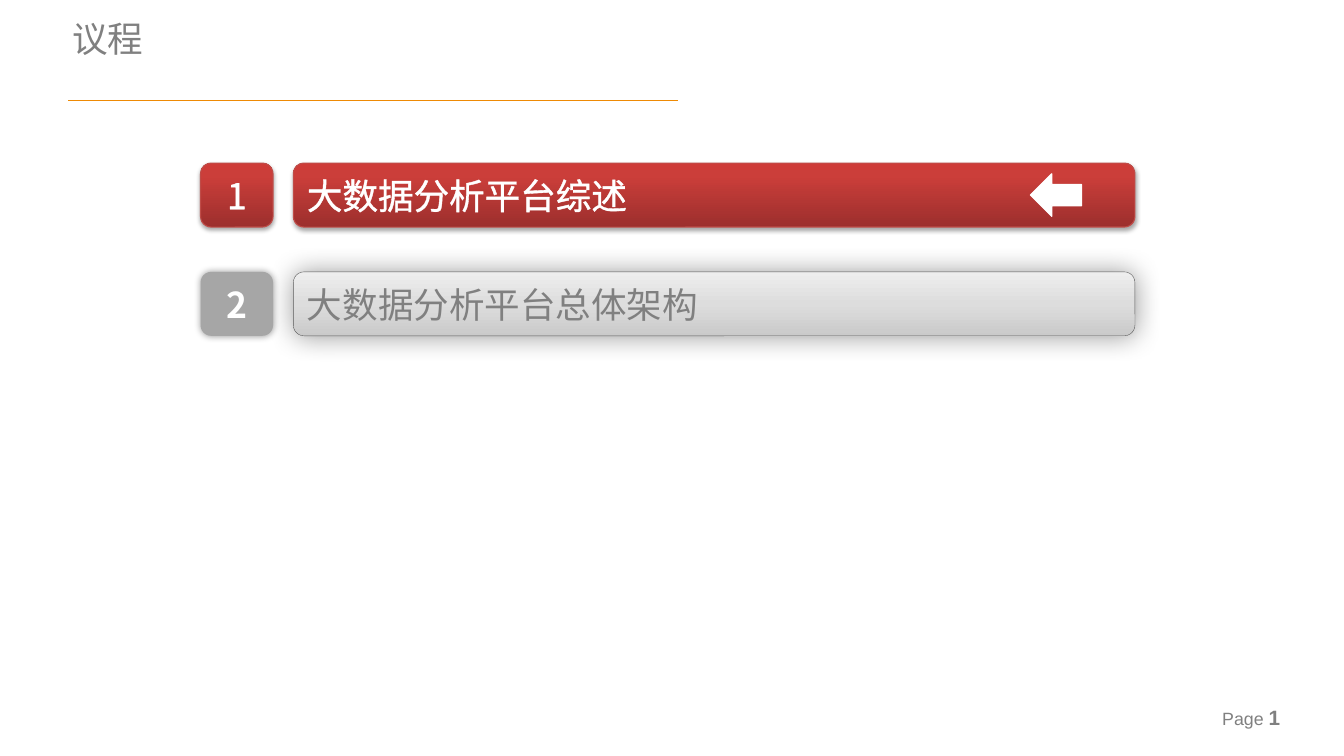
from lxml.etree import SubElement
from pptx import Presentation
from pptx.dml.color import RGBColor
from pptx.enum.shapes import MSO_CONNECTOR, MSO_SHAPE
from pptx.enum.text import MSO_ANCHOR, PP_ALIGN
from pptx.oxml.ns import qn
from pptx.util import Inches, Pt

# Content
TITLE = "议程"
PAGE = ("Page ", "1")
AGENDA = [
    {"number": "1", "topic": "大数据分析平台综述", "current": True},
    {"number": "2", "topic": "大数据分析平台总体架构", "current": False},
]

# Style
CJK, LATIN = "Noto Sans CJK SC", "Arial"
COLORS = {"gray": "808080", "white": "FFFFFF", "rule": "EE8A04",
          "red_line": "BF4C48", "gray_line": "595959", "badge": "A6A6A6"}
RED = [(0, "9C2F2D"), (80, "CB3E3A"), (100, "CE3B37")]
SILVER = [(0, "CACACA"), (50, "DDDDDD"), (100, "EEEEEE")]
# Shadows: opacity %, blur pt, distance pt, direction in degrees
DROP, GLOW, SOFT = (35, 3.1, 1.8, 90), (40, 18, 0, 0), (40, 5, 0, 0)

# Layout in inches
BADGE_X, BADGE_W = 1.88, 0.68
BAR_X, BAR_W = 2.75, 7.89
ROW_Y, ROW_H, ROW_STEP = 1.53, 0.6, 1.02
ARROW_X, ARROW_W, ARROW_H = 9.66, 0.48, 0.4


def rgb(name):
    return RGBColor.from_string(COLORS[name])


def add_color(parent, value):
    return SubElement(parent, qn("a:srgbClr"), val=value)


def add_run(p, text, size, color, font=CJK, bold=False, outline=None):
    r = p.add_run()
    r.text = text
    r.font.size, r.font.bold, r.font.name = Pt(size), bold, font
    r.font.color.rgb = rgb(color)
    rPr = r.font._element
    SubElement(rPr, qn("a:ea"), typeface=font)
    if outline:
        ln = SubElement(rPr, qn("a:ln"), w=str(Pt(outline)))
        add_color(SubElement(ln, qn("a:solidFill")), COLORS[color])
        rPr.insert(0, ln)


def add_textbox(s, x, y, w, h, anchor):
    tf = s.shapes.add_textbox(Inches(x), Inches(y), Inches(w), Inches(h)).text_frame
    tf.word_wrap = True
    tf.vertical_anchor = anchor
    return tf


def add_shadow(sp, opacity, blur, dist, angle):
    effects = sp._element.spPr.find(qn("a:effectLst"))
    outer = SubElement(effects, qn("a:outerShdw"), blurRad=str(Pt(blur)),
                       dist=str(Pt(dist)), dir=str(angle * 60000),
                       algn="ctr", rotWithShape="0")
    SubElement(add_color(outer, "000000"), qn("a:alpha"), val=str(opacity * 1000))


def fill_upward(sp, stops):
    sp.fill.gradient()
    grad = sp._element.spPr.find(qn("a:gradFill"))
    for child in list(grad):
        grad.remove(child)
    gs_list = SubElement(grad, qn("a:gsLst"))
    for pos, color in stops:
        add_color(SubElement(gs_list, qn("a:gs"), pos=str(pos * 1000)), color)
    SubElement(grad, qn("a:lin"), ang=str(270 * 60000), scaled="0")


def add_shape(s, kind, x, y, w, h, fill, line=None, width=0.75, shadow=None):
    sp = s.shapes.add_shape(kind, Inches(x), Inches(y), Inches(w), Inches(h))
    sp.shadow.inherit = False
    if isinstance(fill, list):
        fill_upward(sp, fill)
    else:
        sp.fill.solid()
        sp.fill.fore_color.rgb = rgb(fill)
    if line:
        sp.line.color.rgb = rgb(line)
        sp.line.width = Pt(width)
    else:
        sp.line.fill.background()
    if shadow:
        add_shadow(sp, *shadow)
    return sp


def add_label(sp, text, align, color, **style):
    tf = sp.text_frame
    tf.word_wrap = True
    tf.vertical_anchor = MSO_ANCHOR.MIDDLE
    p = tf.paragraphs[0]
    p.alignment = align
    add_run(p, text, 24, color, **style)


def add_agenda_row(s, y, number, topic, current):
    if current:
        bar_style = badge_style = (RED, "red_line", 0.75, DROP)
        topic_style = {"color": "white", "outline": 1.45}
        number_style = {"color": "white", "outline": 1.45}
    else:
        bar_style = (SILVER, "gray_line", 0.25, GLOW)
        badge_style = ("badge", None, 0, SOFT)
        topic_style = {"color": "gray", "outline": 0.75}
        number_style = {"color": "white", "bold": True}
    box = MSO_SHAPE.ROUNDED_RECTANGLE
    bar = add_shape(s, box, BAR_X, y, BAR_W, ROW_H, *bar_style)
    add_label(bar, topic, PP_ALIGN.LEFT, **topic_style)
    badge = add_shape(s, box, BADGE_X, y, BADGE_W, ROW_H, *badge_style)
    add_label(badge, number, PP_ALIGN.CENTER, **number_style)
    if current:
        add_shape(s, MSO_SHAPE.LEFT_ARROW, ARROW_X, y + (ROW_H - ARROW_H) / 2,
                  ARROW_W, ARROW_H, "white", "white")


prs = Presentation()
prs.slide_width, prs.slide_height = Inches(12.6), Inches(7.09)
s = prs.slides.add_slide(prs.slide_layouts[6])

# Page number
tf = add_textbox(s, 11.36, 6.6, 1.25, 0.26, MSO_ANCHOR.MIDDLE)
add_run(tf.paragraphs[0], PAGE[0], 12, "gray", LATIN)
add_run(tf.paragraphs[0], PAGE[1], 14, "gray", LATIN, bold=True)

# Title and rule
tf = add_textbox(s, 0.58, 0.16, 8.89, 0.41, MSO_ANCHOR.TOP)
tf.margin_top = tf.margin_bottom = 0
add_run(tf.paragraphs[0], TITLE, 24, "gray")
rule = s.shapes.add_connector(MSO_CONNECTOR.STRAIGHT, Inches(0.64), Inches(0.94),
                              Inches(6.36), Inches(0.94))
rule.line.color.rgb = rgb("rule")
rule.line.width = Pt(0.75)
SubElement(rule._element.spPr, qn("a:effectLst"))

# Agenda rows
for i, item in enumerate(AGENDA):
    add_agenda_row(s, ROW_Y + i * ROW_STEP, **item)

prs.save("out.pptx")
